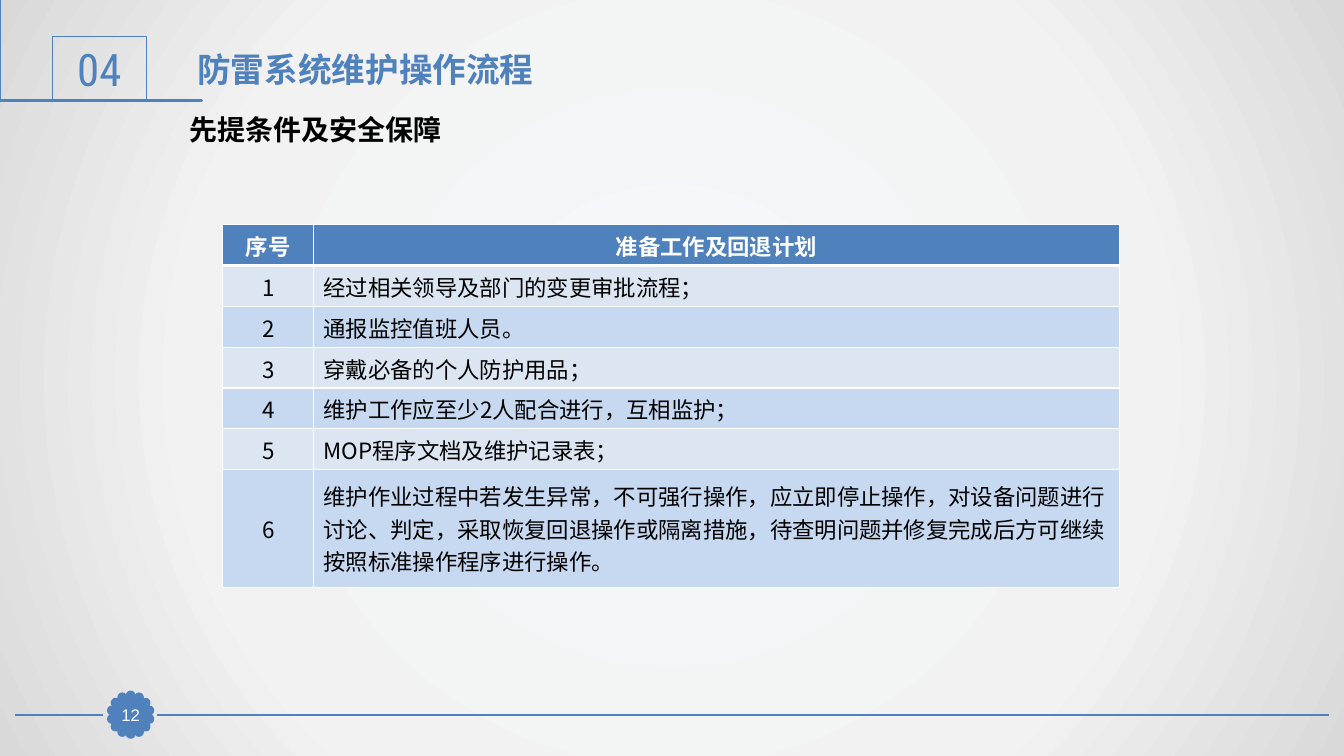
import math

import lxml.etree
import pptx
import pptx.dml.color
import pptx.enum.shapes
import pptx.enum.text
import pptx.oxml.ns
import pptx.util

WIDE, HIGH = 13.33, 7.5
HUES = {"blue": "4F81BD", "green": "339933", "black": "000000", "white": "FFFFFF",
        "pale": "DCE6F2", "sky": "C6D9F1"}
GLOW = [(0, "F6F9FC"), (63, "F2F2F2"), (100, "D9D9D9")]
HAN = "Noto Sans CJK SC"
KIND = pptx.enum.shapes.MSO_SHAPE
ALIGN = pptx.enum.text.PP_ALIGN
MID = pptx.enum.text.MSO_ANCHOR.MIDDLE
GROW = pptx.enum.text.MSO_AUTO_SIZE.SHAPE_TO_FIT_TEXT
qn = pptx.oxml.ns.qn

TASKS = [
    "经过相关领导及部门的变更审批流程；",
    "通报监控值班人员。",
    "穿戴必备的个人防护用品；",
    "维护工作应至少2人配合进行，互相监护；",
    "MOP程序文档及维护记录表；",
    "维护作业过程中若发生异常，不可强行操作，应立即停止操作，对设备问题进行"
    "讨论、判定，采取恢复回退操作或隔离措施，待查明问题并修复完成后方可继续"
    "按照标准操作程序进行操作。",
]
# Outline of the books, in percent of its box
BOOKS = [(12, 0), (12.5, 0), (12.5, 96), (100, 96), (100, 100), (11.2, 100),
         (11.2, 4), (7.9, 4), (7.9, 100), (0, 100), (0, 0), (2.6, 0),
         (2.6, 94), (5.9, 94), (5.9, 0)]


def part(box, left, top, wide, high):
    """Box inside a box, given in percent of the outer one."""
    x, y, w, h = box
    return x + w * left / 100, y + h * top / 100, w * wide / 100, h * high / 100


def inch(box):
    return [pptx.util.Inches(v) for v in box]


def hue(name):
    return pptx.dml.color.RGBColor.from_string(HUES[name])


def paint(shape, fill, width):
    shape.shadow.inherit = False
    if fill:
        shape.fill.solid()
        shape.fill.fore_color.rgb = hue(fill)
    else:
        shape.fill.background()
    shape.line.color.rgb = hue("blue")
    shape.line.width = pptx.util.Pt(width)


def write(frame, text, size, font, color, bold=False, align=ALIGN.LEFT):
    para = frame.paragraphs[0]
    para.alignment = align
    run = para.add_run()
    run.text = text
    run.font.size = pptx.util.Pt(size)
    run.font.name = font
    run.font.bold = bold
    run.font.color.rgb = hue(color)
    east = lxml.etree.SubElement(run.font._element, qn("a:ea"))
    east.set("typeface", HAN)


def back(slide):
    """Round glow from the middle of the slide."""
    slide.background.fill.gradient()
    grad = slide.element.find(".//" + qn("a:gradFill"))
    for child in list(grad):
        grad.remove(child)
    stops = lxml.etree.SubElement(grad, qn("a:gsLst"))
    for place, color in GLOW:
        stop = lxml.etree.SubElement(stops, qn("a:gs"), pos=str(place * 1000))
        lxml.etree.SubElement(stop, qn("a:srgbClr"), val=color)
    way = lxml.etree.SubElement(grad, qn("a:path"), path="circle")
    lxml.etree.SubElement(way, qn("a:fillToRect"), l="50000", t="50000",
                          r="50000", b="50000")


def label(slide, box, text, size, color):
    note = slide.shapes.add_textbox(*inch(box))
    note.text_frame.word_wrap = True
    note.text_frame.auto_size = GROW
    write(note.text_frame, text, size, "Arial", color, True)


def head(slide, box):
    # Books
    x, y, w, h = part(box, 1.43, 30.67, 11.4, 32)
    points = [(x + w * px / 100, y + h * py / 100) for px, py in BOOKS]
    form = slide.shapes.build_freeform(*points[0], scale=pptx.util.Inches(1))
    form.add_line_segments(points[1:], close=True)
    paint(form.convert_to_shape(), "green", 2)

    # Chapter number
    frame = slide.shapes.add_shape(KIND.RECTANGLE, *inch(part(box, 3.9, 24, 6.98, 42.67)))
    paint(frame, None, 0.75)
    frame.text_frame.vertical_anchor = MID
    frame.text_frame.auto_size = GROW
    write(frame.text_frame, "04", 32, "Roboto Condensed", "blue", align=ALIGN.CENTER)

    # Titles
    label(slide, part(box, 13.95, 29.33, 72.69, 33.33), "防雷系统维护操作流程", 24, "blue")
    label(slide, part(box, 13.35, 71.33, 42.54, 29.33), "先提条件及安全保障", 20, "black")


def edge(cell, header):
    """White cell borders, thick below the header."""
    for i, side in enumerate(("lnL", "lnR", "lnT", "lnB")):
        width = 3 if header and side == "lnB" else 1
        line = lxml.etree.Element(qn("a:" + side), w=str(pptx.util.Pt(width)))
        fill = lxml.etree.SubElement(line, qn("a:solidFill"))
        lxml.etree.SubElement(fill, qn("a:srgbClr"), val=HUES["white"])
        cell._tc.get_or_add_tcPr().insert(i, line)


def plan(slide, box):
    rows = [("序号", "准备工作及回退计划")]
    rows += [(str(i), task) for i, task in enumerate(TASKS, 1)]
    grid = slide.shapes.add_table(len(rows), 2, *inch(box)).table
    grid.horz_banding = False
    for col, share in zip(grid.columns, (10.12, 89.88)):
        col.width = pptx.util.Inches(box[2] * share / 100)
    for r, row in enumerate(rows):
        share = 32.5 if r == len(TASKS) else 11.25
        grid.rows[r].height = pptx.util.Inches(box[3] * share / 100)
        for c, text in enumerate(row):
            cell = grid.cell(r, c)
            cell.vertical_anchor = MID
            cell.fill.solid()
            cell.fill.fore_color.rgb = hue("blue" if r == 0 else ("sky", "pale")[r % 2])
            edge(cell, r == 0)
            write(cell.text_frame, text, 16, HAN, "black" if r else "white", r == 0,
                  ALIGN.LEFT if r and c else ALIGN.CENTER)


def foot(slide, box):
    x, y, w, h = box
    mid = y + h / 2
    # Rule on both sides of the badge
    for start, end in ((10.82, 100), (0, 6.68)):
        ends = inch((x + w * start / 100, mid, x + w * end / 100, mid))
        rule = slide.shapes.add_connector(pptx.enum.shapes.MSO_CONNECTOR.STRAIGHT, *ends)
        rule.line.color.rgb = hue("blue")
        rule.line.width = pptx.util.Pt(1.25)
        lxml.etree.SubElement(rule._element.spPr, qn("a:effectLst"))

    # Ring of petals
    hub, ring, dot, count = x + w * 0.09, h * 0.38, h * 0.14, 14
    hub = x + w * 8.79 / 100
    for i in range(count):
        turn = math.tau * i / count
        left = hub + ring * math.sin(turn) - dot / 2
        top = mid - ring * math.cos(turn) - dot / 2
        petal = slide.shapes.add_shape(KIND.OVAL, *inch((left, top, dot, dot)))
        paint(petal, "blue", 2)

    # Page number
    side = h * 0.63
    badge = slide.shapes.add_shape(
        KIND.RECTANGLE, *inch((hub - side / 2, mid - side / 2, side, side)))
    paint(badge, "blue", 0.75)
    text = badge.text_frame
    text.margin_left = text.margin_right = text.margin_top = text.margin_bottom = 0
    text.vertical_anchor = MID
    write(text, "12", 12, "Arial", "white", align=ALIGN.CENTER)


def main():
    deck = pptx.Presentation()
    deck.slide_width, deck.slide_height = inch((WIDE, HIGH))
    slide = deck.slides.add_slide(deck.slide_layouts[6])
    page = (0, 0, WIDE, HIGH)
    back(slide)
    foot(slide, part(page, 1.13, 91.2, 97.75, 6.67))
    head(slide, part(page, 0, 0, 100, 20))
    plan(slide, part(page, 16.58, 29.73, 66.69, 48))
    deck.save("out.pptx")


if __name__ == "__main__":
    main()
